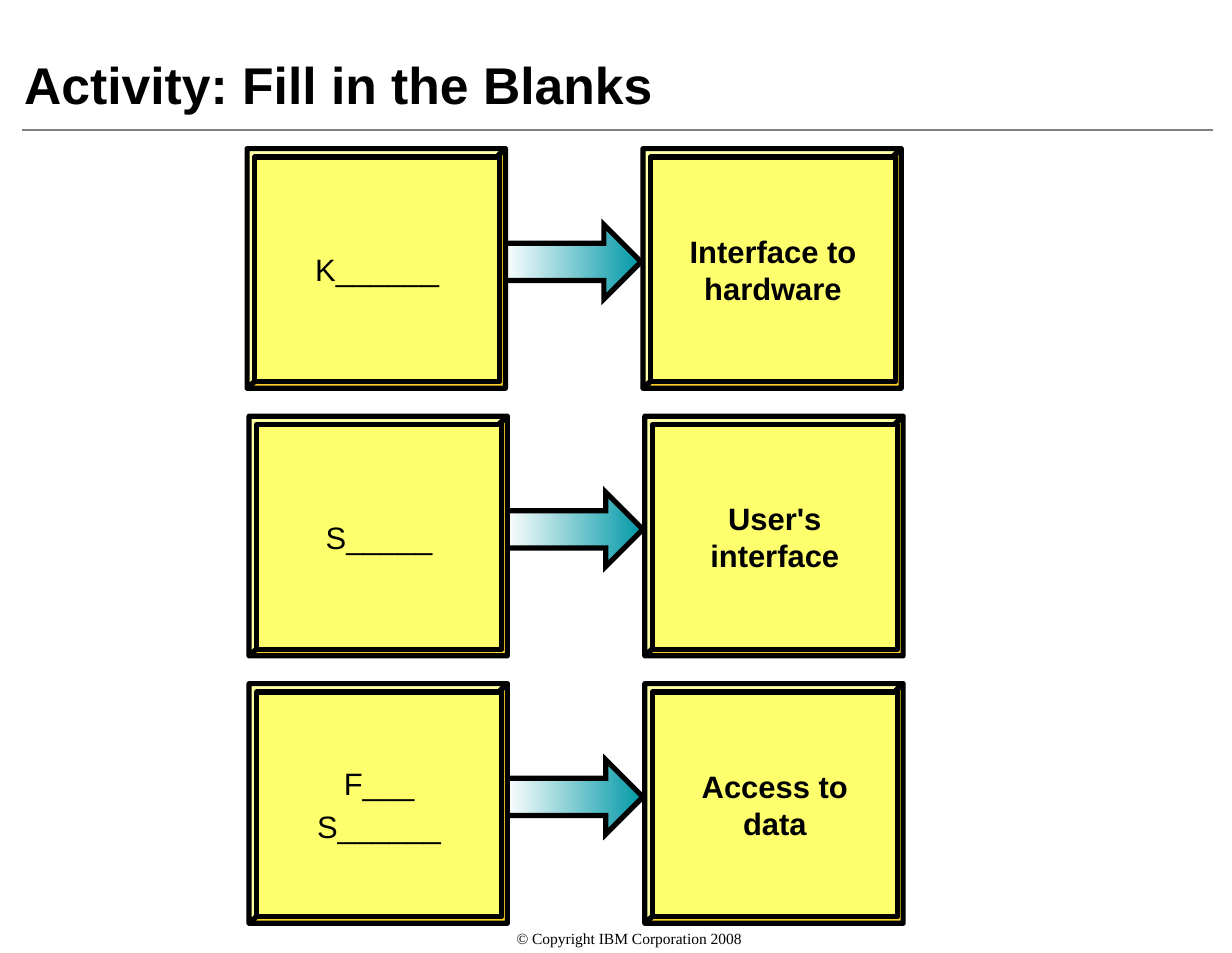
from lxml import etree
from pptx import Presentation
from pptx import util as u
from pptx.dml.color import RGBColor
from pptx.enum import shapes, text
from pptx.oxml.ns import qn

# Lengths are columns and rows of a grid with ten cells to the inch
COLUMNS, ROWS = 66.3, 51.3
COLORS = {
    "ink": "000000", "rule": "808080", "white": "FFFFFF", "teal": "0098A6",
    "face": "FFFF6D", "light": "FFFFA4", "shade": "FBD128",
}
CARD_WIDTH, CARD_HEIGHT = 13.9, 12.9
CARD_STEP, ROW_STEP = 21.3, 14.4
FIRST_LEFT, FIRST_TOP = 13.4, 8

# Blank on the left, its description on the right, sideways shift of the row
PAIRS = [
    ("K______", "Interface to hardware", -0.1),
    ("S_____", "User's interface", 0),
    ("F___\nS______", "Access to data", 0),
]


def cells(*counts):
    return [u.Inches(count / 10) for count in counts]


def color(name):
    return RGBColor.from_string(COLORS[name])


class ActivitySlide:
    def __init__(self, deck):
        self.page = deck.slides.add_slide(deck.slide_layouts[5])
        self.font = "Arial"

    def set_words(self, frame, words, size, bold=False, align=text.PP_ALIGN.CENTER,
                  anchor=text.MSO_ANCHOR.MIDDLE, margins=(0, 0), after=0, font=None):
        frame.text = words
        frame.word_wrap = True
        frame.auto_size = text.MSO_AUTO_SIZE.NONE
        frame.vertical_anchor = anchor
        side, end = cells(*margins)
        frame.margin_left = frame.margin_right = side
        frame.margin_top = frame.margin_bottom = end
        for para in frame.paragraphs:
            para.alignment = align
            para.space_after = u.Pt(after)
            for span in para.runs:
                span.font.name = font or self.font
                span.font.size = u.Pt(size)
                span.font.bold = bold
                span.font.color.rgb = color("ink")

    def outline(self, shape):
        shape.shadow.inherit = False
        shape.line.color.rgb = color("ink")
        shape.line.width = u.Pt(2)

    def paint(self, shape, name):
        shape.fill.solid()
        shape.fill.fore_color.rgb = color(name)
        self.outline(shape)

    def title(self, words):
        box = self.page.shapes.title
        box.left, box.top, box.width, box.height = cells(0.6, 0.6, 64.9, 5.9)
        self.set_words(box.text_frame, words, 20, True, text.PP_ALIGN.LEFT,
                       text.MSO_ANCHOR.BOTTOM, (0.7, 0.3))

    def rule(self, left, right, top):
        line = self.page.shapes.add_connector(
            shapes.MSO_CONNECTOR.STRAIGHT, *cells(left, top, right, top))
        line.line.color.rgb = color("rule")
        line.line.width = u.Pt(1)
        etree.SubElement(line._element.spPr, qn("a:effectLst"))

    def arrow(self, left, top):
        arrow = self.page.shapes.add_shape(
            shapes.MSO_SHAPE.RIGHT_ARROW, *cells(left, top, 7.4, 4))
        arrow.fill.gradient()
        arrow.fill.gradient_angle = 0
        for stop, name in zip(arrow.fill.gradient_stops, ("white", "teal")):
            stop.color.rgb = color(name)
        self.outline(arrow)
        line = arrow._element.spPr.find(qn("a:ln"))
        etree.SubElement(line, qn("a:miter"), lim="800000")

    def triangle(self, corners, name):
        start, *others = [cells(*corner) for corner in corners]
        builder = self.page.shapes.build_freeform(*start)
        builder.add_line_segments(others, close=True)
        self.paint(builder.convert_to_shape(), name)

    def card(self, left, top, words, bold=False):
        right, bottom = left + CARD_WIDTH, top + CARD_HEIGHT
        rising = [(right, top), (left, bottom)]
        self.triangle([(right, bottom), *rising], "shade")
        self.triangle([(left, top), *reversed(rising)], "light")
        face = self.page.shapes.add_shape(
            shapes.MSO_SHAPE.RECTANGLE, *cells(left + 0.4, top + 0.45, 13.2, 12.1))
        self.paint(face, "face")
        self.set_words(face.text_frame, words, 12, bold, margins=(1.4, 0), after=2.2)

    def footer(self, words):
        box = self.page.shapes.add_textbox(*cells(2.4, 50, 62.9, 1.3))
        self.set_words(box.text_frame, words, 6, anchor=text.MSO_ANCHOR.TOP,
                       font="Times New Roman")


def main():
    deck = Presentation()
    deck.slide_width, deck.slide_height = cells(COLUMNS, ROWS)
    slide = ActivitySlide(deck)

    # Heading
    slide.rule(1.2, 65.3, 7)
    slide.title("Activity: Fill in the Blanks")

    # One arrow and two cards per row
    for row, (blank, meaning, shift) in enumerate(PAIRS):
        left, top = FIRST_LEFT + shift, FIRST_TOP + row * ROW_STEP
        slide.arrow(left + 13.8, top + 4.1)
        slide.card(left, top, blank)
        slide.card(left + CARD_STEP, top, meaning, bold=True)

    # Copyright line
    slide.footer("© Copyright IBM Corporation 2008")
    deck.save("out.pptx")


if __name__ == "__main__":
    main()
